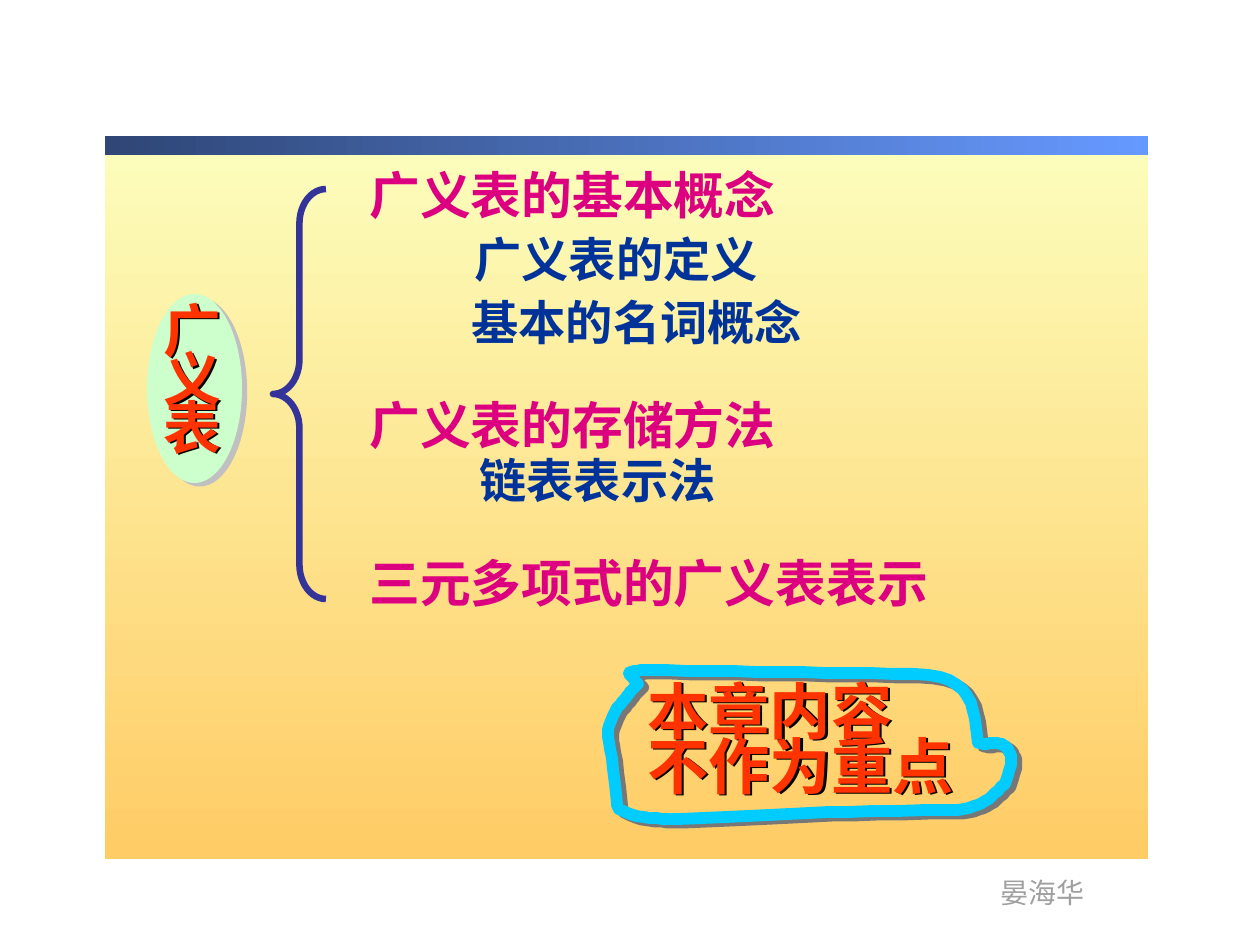
from lxml import etree
from pptx import Presentation
from pptx.dml.color import RGBColor
from pptx.enum.shapes import MSO_SHAPE
from pptx.enum.text import MSO_ANCHOR, MSO_AUTO_SIZE, PP_ALIGN
from pptx.oxml.ns import qn
from pptx.util import Pt

PX = 914400 / 126
FONT = "Arial Narrow"
RECT, OVAL, BRACE = MSO_SHAPE.RECTANGLE, MSO_SHAPE.OVAL, MSO_SHAPE.LEFT_BRACE
TOP, LEFT, FIXED = MSO_ANCHOR.TOP, PP_ALIGN.LEFT, MSO_AUTO_SIZE.NONE

CREAM, AMBER = RGBColor(0xFC, 0xFE, 0xBC), RGBColor(0xFF, 0xCC, 0x66)
DARK, SKY = RGBColor(0x2F, 0x46, 0x76), RGBColor(0x66, 0x99, 0xFF)
PINK, NAVY = RGBColor(0xDC, 0x00, 0x81), RGBColor(0x00, 0x33, 0x99)
INDIGO, MINT = RGBColor(0x33, 0x33, 0x99), RGBColor(0xCC, 0xFF, 0xCC)
RED, CYAN = RGBColor(0xFF, 0x33, 0x00), RGBColor(0x00, 0xCC, 0xFF)
GREY, SILVER = RGBColor(0x9F, 0x9F, 0x9F), RGBColor(0xC0, 0xC0, 0xC0)
DIM, BLACK = RGBColor(0x77, 0x77, 0x77), RGBColor(0, 0, 0)

# Content: text and place of each line
ROOT = ["广", "义", "表"]
TOPICS = [
    ("广义表的基本概念", (357, 158, 483, 74)),
    ("广义表的存储方法", (357, 388, 494, 74)),
    ("三元多项式的广义表表示", (357, 546, 662, 74)),
]
POINTS = [
    ("广义表的定义", (462, 224, 410, 71)),
    ("基本的名词概念", (459, 287, 462, 71)),
    ("链表表示法", (467, 445, 315, 71)),
]
NOTE = ["本章内容", "不作为重点"]
AUTHOR = "晏海华"

# Hand-drawn loop: start, then curves of two handles and an end
START = (638, 684)
CURVES = [
    ((629, 692), (625, 701), (617, 708)), ((600, 743), (610, 719), (617, 803)),
    ((617, 805), (617, 809), (621, 810)), ((635, 820), (680, 819), (680, 819)),
    ((785, 814), (828, 811), (958, 810)), ((983, 806), (990, 798), (1005, 784)),
    ((1009, 772), (1017, 757), (1005, 746)), ((999, 741), (987, 745), (978, 743)),
    ((974, 711), (975, 674), (914, 674)), ((823, 672), (732, 672), (641, 670)),
    ((624, 674), (627, 670), (638, 684)),
]
STEPS = 12

prs = Presentation()
prs.slide_width, prs.slide_height = round(1260 * PX), round(945 * PX)
slide = prs.slides.add_slide(prs.slide_layouts[5])
shapes = slide.shapes


def emu(box):
    return [round(v * PX) for v in box]


def add_shape(kind, box):
    shape = shapes.add_shape(kind, *emu(box))
    shape.shadow.inherit = False
    shape.line.fill.background()
    return shape


def add_band(box, first, last, angle):
    fill = add_shape(RECT, box).fill
    fill.gradient()
    fill.gradient_angle = angle
    for stop, color in zip(fill.gradient_stops, (first, last)):
        stop.color.rgb = color


def cast(shape, color, dist):
    """Give the shape a hard shadow to the lower right."""
    shape.shadow.inherit = False
    effects = shape._element.spPr.find(qn("a:effectLst"))
    drop = etree.SubElement(effects, qn("a:outerShdw"), dist=str(Pt(dist)),
                            dir=str(34 * 60000), algn="ctr", rotWithShape="0")
    etree.SubElement(drop, qn("a:srgbClr"), val=str(color))


def write(shape, lines, size, color, bold=True, space=None, wrap=True):
    frame = shape.text_frame
    frame.text = "\n".join(lines)
    frame.word_wrap = wrap
    frame.auto_size = FIXED
    frame.vertical_anchor = TOP
    for para in frame.paragraphs:
        para.alignment = LEFT
        if space:
            para.line_spacing = space
        for run in para.runs:
            font = run.font
            font.name, font.size, font.bold = FONT, Pt(size), bold
            font.color.rgb = color


def add_text(box, lines, *style, **more):
    shape = shapes.add_textbox(*emu(box))
    write(shape, lines, *style, **more)
    return shape


def trace():
    """Sample the loop's curves as points."""
    p0 = START
    for p1, p2, p3 in CURVES:
        for i in range(1, STEPS + 1):
            t = i / STEPS
            u = 1 - t
            yield tuple(u**3 * a + 3 * u * u * t * b + 3 * u * t * t * c + t**3 * d
                        for a, b, c, d in zip(p0, p1, p2, p3))
        p0 = p3


# Background panel, top bar and author
add_band((105, 139, 1043, 720), CREAM, AMBER, 270)
add_band((105, 136, 1043, 19), DARK, SKY, 0)
add_text((988, 869, 110, 47), [AUTHOR], 16, GREY, bold=False, wrap=False)

# Topics and their points
for rows, size, color in ((TOPICS, 29, PINK), (POINTS, 27, NAVY)):
    for line, box in rows:
        add_text(box, [line], size, color)

# Brace
brace = add_shape(BRACE, (273, 189, 53, 410))
brace.adjustments[0] = 0.65
brace.fill.background()
brace.line.color.rgb = INDIGO
brace.line.width = Pt(3.75)

# Oval with the title on top of it
oval = add_shape(OVAL, (147, 294, 95, 189))
oval.fill.solid()
oval.fill.fore_color.rgb = MINT
cast(oval, SILVER, 3.6)
title = shapes.title
title.left, title.top, title.width, title.height = emu((151, 307, 86, 160))
write(title, ROOT, 33, RED, space=0.7, wrap=False)
cast(title, BLACK, 1.6)
oval._element.addnext(title._element)

# Loop around the closing note
pen = shapes.build_freeform(*START, scale=PX)
pen.add_line_segments(list(trace()), close=True)
loop = pen.convert_to_shape()
loop.fill.background()
loop.line.color.rgb = CYAN
loop.line.width = Pt(6.75)
etree.SubElement(loop.line._get_or_add_ln(), qn("a:round"))
cast(loop, DIM, 3.6)
note = add_text((635, 684, 425, 123), NOTE, 35, RED, space=0.75)
cast(note, BLACK, 1.6)

prs.save("out.pptx")
